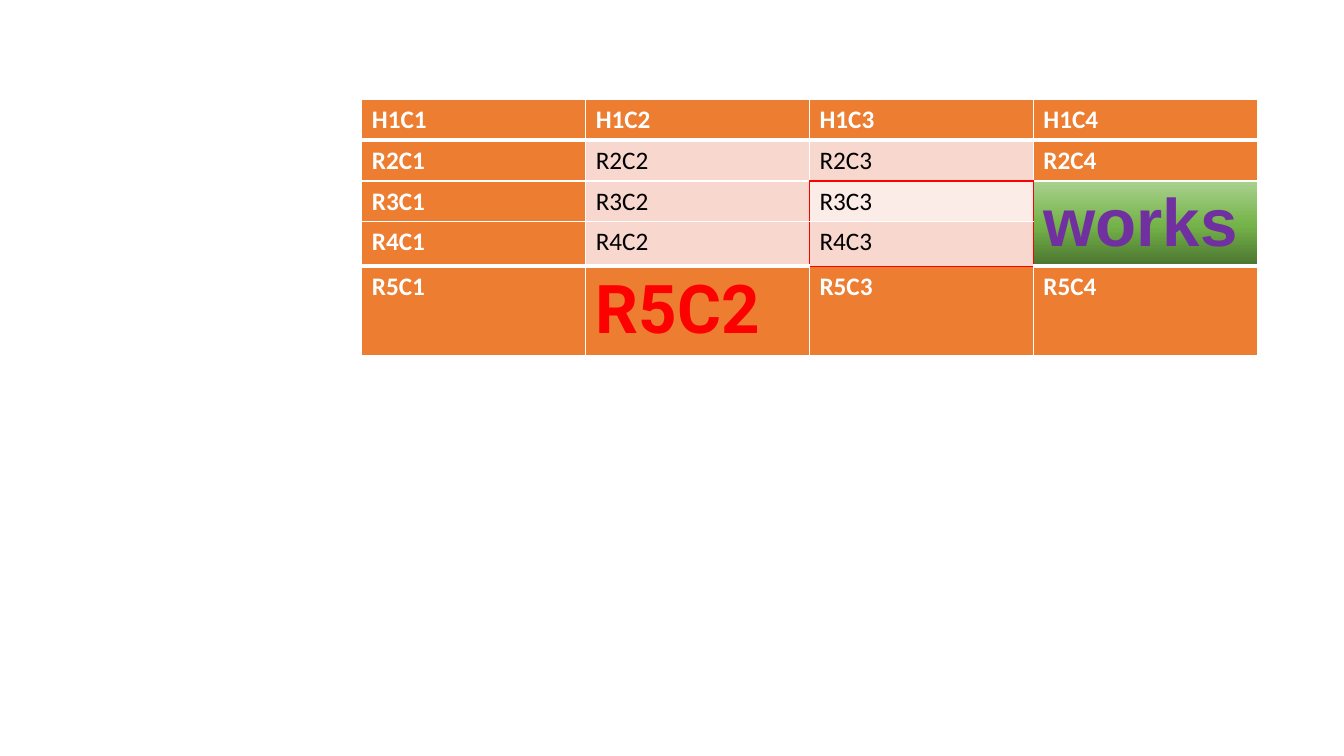
from lxml.etree import SubElement
from pptx import Presentation
from pptx.dml.color import RGBColor
from pptx.oxml.ns import qn
from pptx.util import Cm, Pt

ORANGE, PALE, PALEST = "ED7D31", "F8D7CE", "FCECE8"
WHITE, BLACK, RED, PURPLE = "FFFFFF", "000000", "FF0000", "7030A0"
GREENS = [(0, "4B7430"), (48, "74B349"), (100, "A9D18E")]
ROWS, COLUMNS = 5, 4
LAST_ROW, LAST_COLUMN = ROWS - 1, COLUMNS - 1
COLUMN_WIDTH, ROW_HEIGHT = Cm(5.64), Cm(1.03)
FOCUS_COLUMN, FOCUS_ROWS = 2, (2, 3)  # block outlined in red


def rgb(hex_colour):
    return RGBColor.from_string(hex_colour)


def add_colour(parent, hex_colour):
    SubElement(parent, qn("a:srgbClr"), val=hex_colour)


def write_cell(cell, text, colour, bold, size=18, font_name="Calibri"):
    cell.text = text
    font = cell.text_frame.paragraphs[0].font
    font.name, font.size, font.bold = font_name, Pt(size), bold
    font.color.rgb = rgb(colour)


def fill_cell(cell, colour):
    cell.fill.solid()
    cell.fill.fore_color.rgb = rgb(colour)


def fill_gradient(cell, stops, angle):
    cell.fill.background()
    properties = cell._tc.get_or_add_tcPr()
    properties.remove(properties.find(qn("a:noFill")))
    gradient = SubElement(properties, qn("a:gradFill"), rotWithShape="1")
    stop_list = SubElement(gradient, qn("a:gsLst"))
    for percent, colour in stops:
        add_colour(SubElement(stop_list, qn("a:gs"), pos=str(percent * 1000)), colour)
    SubElement(gradient, qn("a:lin"), ang=str(angle * 60000), scaled="0")


def draw_borders(cell, borders):
    """Place the side lines, given as (colour, points), ahead of the cell's fill."""
    properties = cell._tc.get_or_add_tcPr()
    for index, (side, (colour, width)) in enumerate(borders.items()):
        line = SubElement(properties, qn(f"a:ln{side}"), w=str(Pt(width)))
        add_colour(SubElement(line, qn("a:solidFill")), colour)
        properties.insert(index, line)


def borders_at(row, column):
    borders = {side: (WHITE, 1) for side in "LRTB"}
    if row == 0 or row == LAST_ROW - 1:
        borders["B"] = (WHITE, 3)
    if row == 1 or row == LAST_ROW:
        borders["T"] = (WHITE, 3)
    if row in FOCUS_ROWS:
        if column in (FOCUS_COLUMN, FOCUS_COLUMN + 1):
            borders["L"] = (RED, 1)
        if column in (FOCUS_COLUMN - 1, FOCUS_COLUMN):
            borders["R"] = (RED, 1)
    if column == FOCUS_COLUMN:
        if row in (FOCUS_ROWS[0] - 1, FOCUS_ROWS[1]):
            borders["B"] = (RED, 1)
        if row in (FOCUS_ROWS[0], FOCUS_ROWS[1] + 1):
            borders["T"] = (RED, 1)
    return borders


def format_cell(cell, row, column):
    outer = row in (0, LAST_ROW) or column in (0, LAST_COLUMN)
    if not cell.is_spanned:
        prefix = "H" if row == 0 else "R"
        label = f"{prefix}{row + 1}C{column + 1}"
        write_cell(cell, label, WHITE if outer else BLACK, outer)
    fill_cell(cell, ORANGE if outer else PALE)
    draw_borders(cell, borders_at(row, column))


def add_grid(slide):
    frame = slide.shapes.add_table(ROWS, COLUMNS, Cm(9.12), Cm(2.5),
                                   COLUMN_WIDTH * COLUMNS, ROW_HEIGHT * ROWS)
    grid = frame.table
    grid.first_row = grid.horz_banding = False
    grid.cell(FOCUS_ROWS[0], LAST_COLUMN).merge(grid.cell(FOCUS_ROWS[1], LAST_COLUMN))
    for row in range(ROWS):
        for column in range(COLUMNS):
            format_cell(grid.cell(row, column), row, column)
    return grid


def highlight_cells(grid):
    fill_cell(grid.cell(FOCUS_ROWS[0], FOCUS_COLUMN), PALEST)
    works = grid.cell(FOCUS_ROWS[0], LAST_COLUMN)
    write_cell(works, "works", PURPLE, True, 48, "Arial")
    fill_gradient(works, GREENS, 270)
    write_cell(grid.cell(LAST_ROW, 1), "R5C2", RED, True, 48, "Roboto")


def main():
    presentation = Presentation()
    presentation.slide_width, presentation.slide_height = Cm(33.87), Cm(19.05)
    slide = presentation.slides.add_slide(presentation.slide_layouts[6])
    highlight_cells(add_grid(slide))
    presentation.save("out.pptx")


if __name__ == "__main__":
    main()
